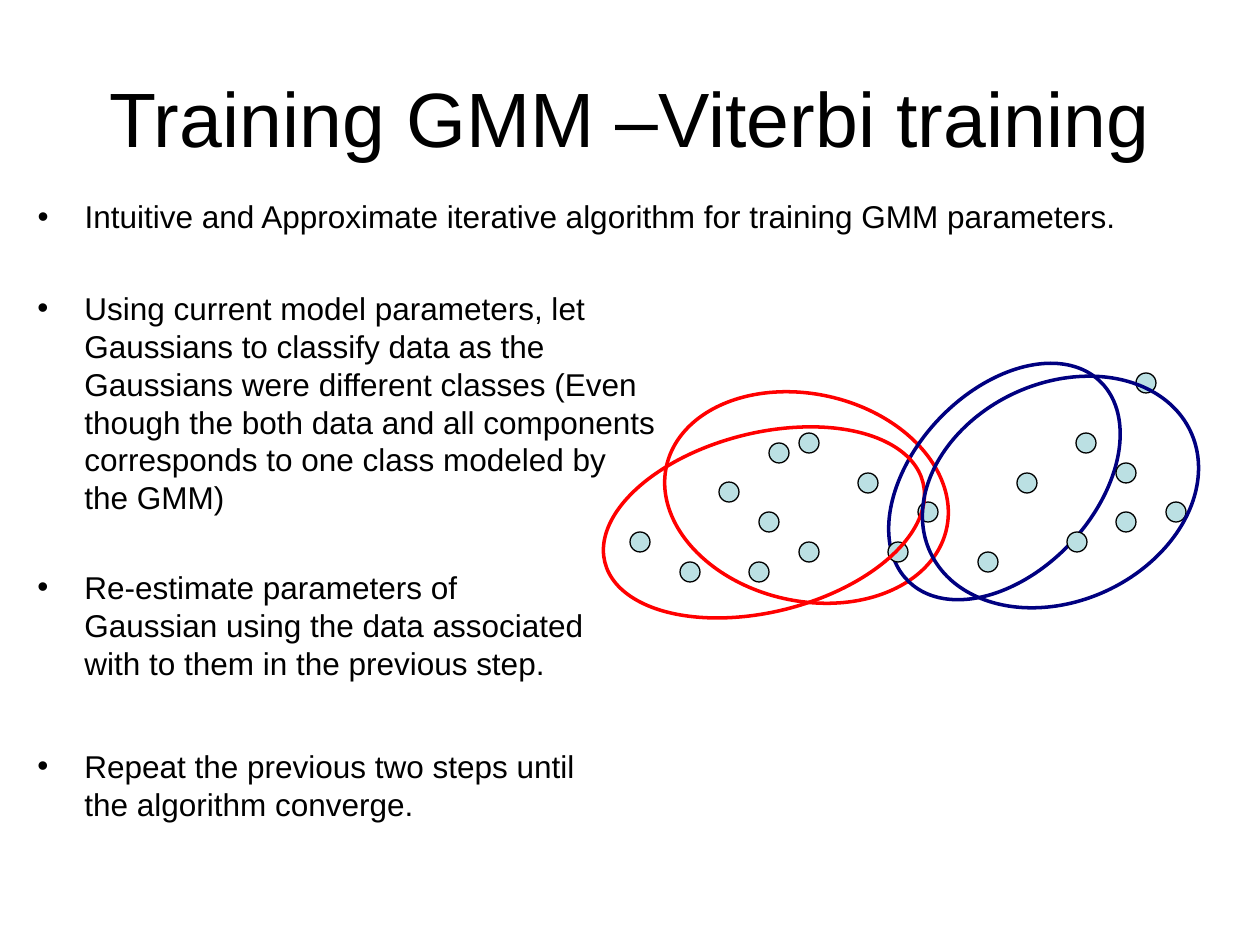
from dataclasses import dataclass

from lxml import etree
from pptx import Presentation
from pptx import util as u
from pptx.dml.color import RGBColor
from pptx.enum import shapes, text
from pptx.oxml.ns import qn

PX_PER_INCH = 126
FONT = "Arial"
BLACK, RED, NAVY, PALE_BLUE = "000000", "FF0000", "000080", "BBE0E3"
DOT_SIZE = 20
BULLET_INDENT = 47


@dataclass(frozen=True)
class Box:
    left: int
    top: int
    width: int
    height: int


@dataclass(frozen=True)
class Gaussian:
    box: Box
    rotation: float
    color: str


@dataclass(frozen=True)
class Step:
    box: Box
    wording: str


def px(length: int) -> u.Emu:
    return u.Emu(round(length * 914400 / PX_PER_INCH))


def rgb(color: str) -> RGBColor:
    return RGBColor.from_string(color)


def bounds(box: Box) -> tuple:
    return px(box.left), px(box.top), px(box.width), px(box.height)


def place(placeholder, box: Box) -> None:
    placeholder.left, placeholder.top, placeholder.width, placeholder.height = bounds(box)


def set_font(paragraph, size: int) -> None:
    paragraph.font.name = FONT
    paragraph.font.size = u.Pt(size)
    paragraph.font.color.rgb = rgb(BLACK)


def write_bullet(frame, wording: str) -> None:
    frame.word_wrap = True
    frame.vertical_anchor = text.MSO_ANCHOR.TOP
    paragraph = frame.paragraphs[0]
    paragraph.text = wording
    paragraph.alignment = text.PP_ALIGN.LEFT
    paragraph.space_before = u.Pt(0)
    properties = paragraph._p.get_or_add_pPr()
    properties.set("marL", str(px(BULLET_INDENT)))
    properties.set("indent", str(-px(BULLET_INDENT)))
    etree.SubElement(properties, qn("a:buFont"), typeface=FONT)
    etree.SubElement(properties, qn("a:buChar"), char="•")
    set_font(paragraph, 18)


def draw_ellipse(slide, box: Box, line: str, weight: float,
                 fill: str | None = None, rotation: float = 0) -> None:
    ellipse = slide.shapes.add_shape(shapes.MSO_SHAPE.OVAL, *bounds(box))
    ellipse.shadow.inherit = False
    ellipse.rotation = rotation
    ellipse.line.color.rgb = rgb(line)
    ellipse.line.width = u.Pt(weight)
    if fill:
        ellipse.fill.solid()
        ellipse.fill.fore_color.rgb = rgb(fill)
    else:
        ellipse.fill.background()


def draw_gaussian(slide, gaussian: Gaussian) -> None:
    draw_ellipse(slide, gaussian.box, gaussian.color, 2, rotation=gaussian.rotation)


def draw_sample(slide, x: int, y: int) -> None:
    box = Box(x - DOT_SIZE // 2, y - DOT_SIZE // 2, DOT_SIZE, DOT_SIZE)
    draw_ellipse(slide, box, BLACK, 0.75, PALE_BLUE)


def add_step(slide, step: Step) -> None:
    frame = slide.shapes.add_textbox(*bounds(step.box)).text_frame
    write_bullet(frame, step.wording)
    frame.auto_size = text.MSO_AUTO_SIZE.SHAPE_TO_FIT_TEXT


# Gaussians before and after re-estimation
FIRST_GAUSSIANS = [
    Gaussian(Box(663, 394, 287, 207), 12.7, RED),
    Gaussian(Box(866, 391, 277, 181), 313.5, NAVY),
]
NEXT_GAUSSIANS = [
    Gaussian(Box(600, 433, 328, 179), 345.9, RED),
    Gaussian(Box(917, 383, 287, 218), 335.2, NAVY),
]

# Centres of the data samples
SAMPLES = [
    (769, 522), (1176, 512), (809, 443), (640, 542), (898, 552),
    (868, 483), (928, 512), (690, 572), (988, 562), (1146, 383),
    (1077, 542), (1027, 483), (1126, 522), (729, 492), (759, 572),
    (779, 453), (1126, 473), (1086, 443), (809, 552),
]

STEPS = [
    Step(Box(25, 283, 645, 239),
         "Using current model parameters, let Gaussians to classify data as the "
         "Gaussians were different classes (Even though the both data and all "
         "components corresponds to one class modeled by the GMM)"),
    Step(Box(25, 562, 576, 127),
         "Re-estimate parameters of Gaussian using the data associated with to "
         "them in the previous step."),
    Step(Box(25, 741, 576, 88),
         "Repeat the previous two steps until the algorithm converge."),
]


def main() -> None:
    deck = Presentation()
    deck.slide_width, deck.slide_height = px(1260), px(945)
    slide = deck.slides.add_slide(deck.slide_layouts[1])

    # Title and introduction
    title = slide.shapes.title
    place(title, Box(63, 38, 1134, 157))
    title.text_frame.text = "Training GMM –Viterbi training"
    title.text_frame.vertical_anchor = text.MSO_ANCHOR.MIDDLE
    heading = title.text_frame.paragraphs[0]
    heading.alignment = text.PP_ALIGN.CENTER
    set_font(heading, 44)

    intro = slide.placeholders[1]
    place(intro, Box(25, 195, 1134, 54))
    write_bullet(intro.text_frame,
                 "Intuitive and Approximate iterative algorithm for training GMM parameters.")
    intro.text_frame.paragraphs[0].line_spacing = 0.9

    # Data samples between the two generations of Gaussians
    for gaussian in FIRST_GAUSSIANS:
        draw_gaussian(slide, gaussian)
    for x, y in SAMPLES:
        draw_sample(slide, x, y)
    for gaussian in NEXT_GAUSSIANS:
        draw_gaussian(slide, gaussian)

    # Training steps
    for step in STEPS:
        add_step(slide, step)

    deck.save("out.pptx")


if __name__ == "__main__":
    main()
